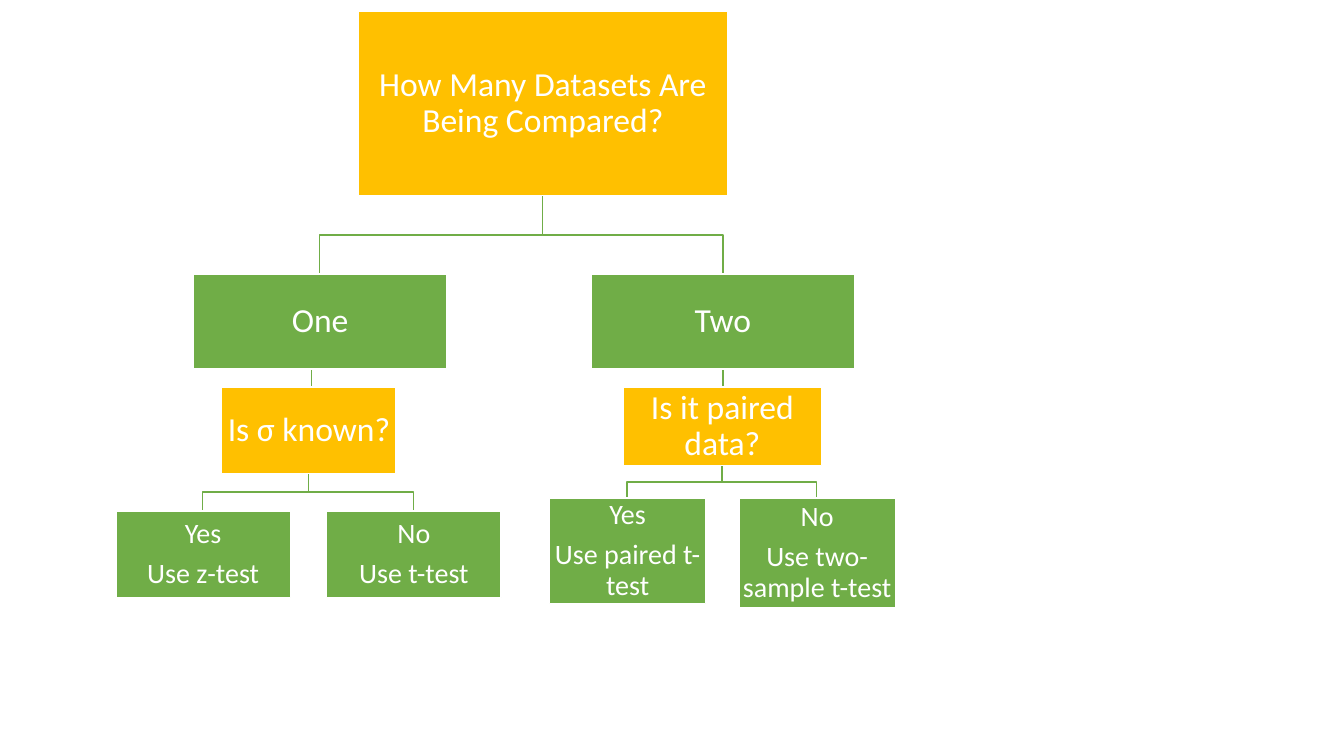
from dataclasses import dataclass

from lxml.etree import SubElement
from pptx import Presentation
from pptx.dml.color import RGBColor
from pptx.enum.shapes import MSO_CONNECTOR, MSO_SHAPE
from pptx.enum.text import MSO_ANCHOR, PP_ALIGN
from pptx.oxml.ns import qn
from pptx.slide import Slide
from pptx.util import Emu, Pt

PX = 9144  # 100 px to the inch


def px(n: int) -> Emu:
    return Emu(n * PX)


@dataclass(frozen=True)
class Theme:
    ask: RGBColor = RGBColor(0xFF, 0xC0, 0x00)
    reply: RGBColor = RGBColor(0x70, 0xAD, 0x47)
    white: RGBColor = RGBColor(0xFF, 0xFF, 0xFF)
    font: str = "Calibri"
    large: int = 24
    small: int = 20
    thin: float = 1
    thick: float = 1.25


THEME = Theme()


@dataclass(frozen=True)
class Box:
    text: str
    left: int
    top: int
    width: int
    height: int
    fill: RGBColor = THEME.reply
    size: int = THEME.large

    @property
    def mid(self) -> int:
        return self.left + self.width // 2

    @property
    def base(self) -> int:
        return self.top + self.height


@dataclass(frozen=True)
class Branch:
    root: Box
    kids: tuple[Box, Box]


@dataclass(frozen=True)
class Drop:
    x: int
    top: int = 341
    base: int = 409


# Decision tree
TREE = (
    Branch(
        Box("How Many Datasets Are Being Compared?", 355, 11, 367, 183, THEME.ask),
        (Box("One", 192, 272, 251, 94), Box("Two", 586, 272, 262, 94)),
    ),
    Branch(
        Box("Is σ known?", 220, 384, 173, 86, THEME.ask),
        (
            Box("Yes\nUse z-test", 115, 507, 173, 86, size=THEME.small),
            Box("No\nUse t-test", 324, 507, 173, 86, size=THEME.small),
        ),
    ),
    Branch(
        Box("Is it paired data?", 618, 384, 197, 78, THEME.ask),
        (
            Box("Yes\nUse paired t-test", 545, 494, 155, 105, size=THEME.small),
            Box("No\nUse two-sample t-test", 733, 494, 155, 109, size=THEME.small),
        ),
    ),
)
DROPS = (Drop(717), Drop(309))


def add_drop(slide: Slide, drop: Drop) -> None:
    line = slide.shapes.add_connector(
        MSO_CONNECTOR.STRAIGHT, px(drop.x), px(drop.top), px(drop.x), px(drop.base)
    )
    line.line.color.rgb = THEME.reply
    line.line.width = Pt(THEME.thick)
    SubElement(line._element.spPr, qn("a:effectLst"))


def add_elbow(slide: Slide, root: Box, kid: Box) -> None:
    turn = (root.base + kid.top) // 2
    pen = slide.shapes.build_freeform(root.mid, root.base, scale=PX)
    pen.add_line_segments(
        [(root.mid, turn), (kid.mid, turn), (kid.mid, kid.top)], close=False
    )
    elbow = pen.convert_to_shape()
    elbow.shadow.inherit = False
    elbow.fill.background()
    elbow.line.color.rgb = THEME.reply
    elbow.line.width = Pt(THEME.thin)


def add_box(slide: Slide, box: Box) -> None:
    shape = slide.shapes.add_shape(
        MSO_SHAPE.RECTANGLE, px(box.left), px(box.top), px(box.width), px(box.height)
    )
    shape.shadow.inherit = False
    shape.fill.solid()
    shape.fill.fore_color.rgb = box.fill
    shape.line.color.rgb = THEME.white
    shape.line.width = Pt(THEME.thin)

    frame = shape.text_frame
    frame.text = box.text
    frame.word_wrap = True
    frame.vertical_anchor = MSO_ANCHOR.MIDDLE
    inset = px(2 if box.size == THEME.large else 1)
    frame.margin_left = frame.margin_right = inset
    frame.margin_top = frame.margin_bottom = inset
    for para in frame.paragraphs:
        para.alignment = PP_ALIGN.CENTER
        para.line_spacing = 0.9
        para.space_after = Pt(box.size * 0.35)
        for run in para.runs:
            run.font.name = THEME.font
            run.font.size = Pt(box.size)
            run.font.color.rgb = THEME.white


def main() -> None:
    deck = Presentation()
    deck.slide_width, deck.slide_height = px(1333), px(750)
    slide = deck.slides.add_slide(deck.slide_layouts[6])

    # Links from answers to follow-up questions, behind the boxes
    for drop in DROPS:
        add_drop(slide, drop)

    # Questions with their answers
    for branch in TREE:
        for kid in reversed(branch.kids):
            add_elbow(slide, branch.root, kid)
        for box in (branch.root, *branch.kids):
            add_box(slide, box)

    deck.save("out.pptx")


if __name__ == "__main__":
    main()
